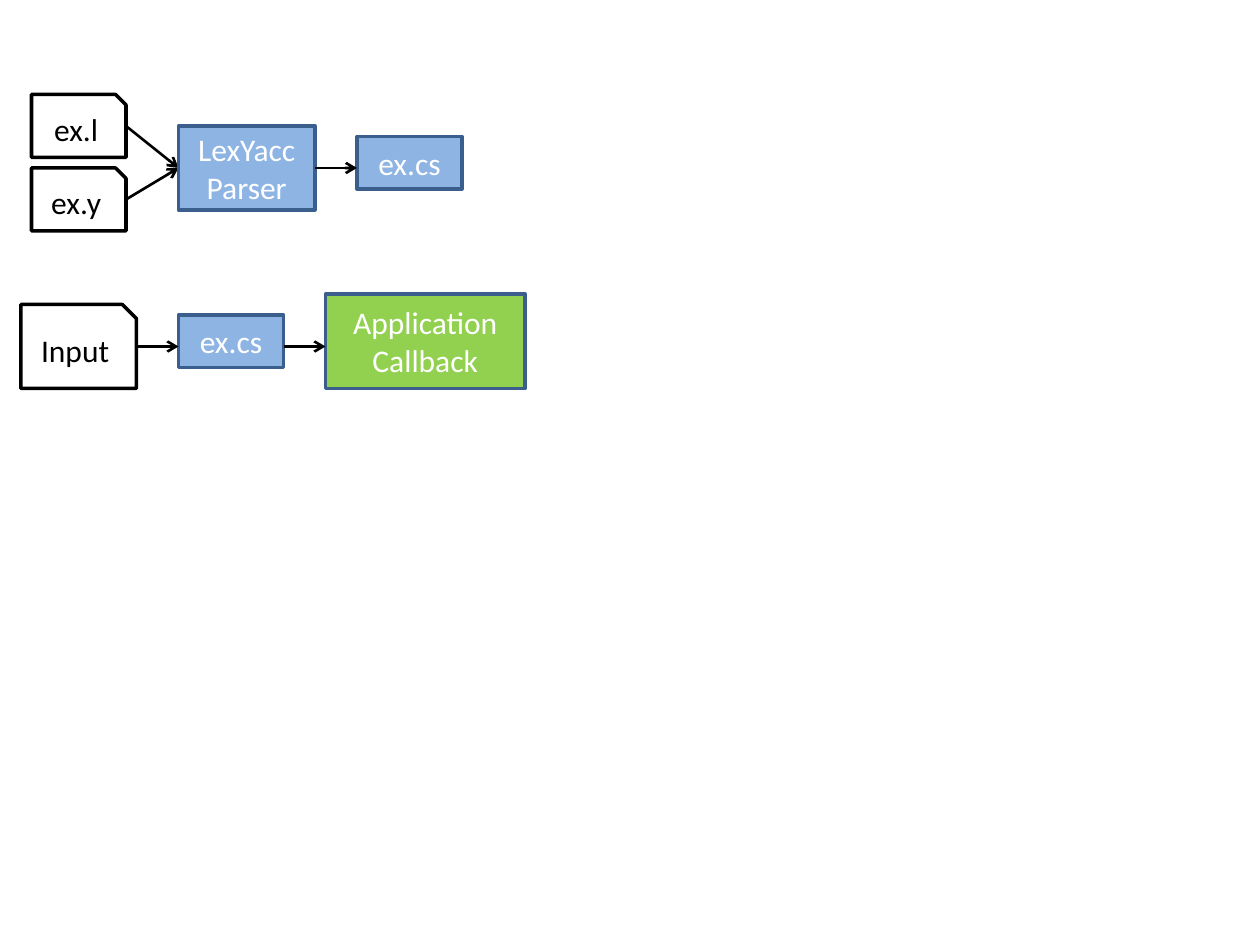
from lxml import etree
from pptx import Presentation
from pptx.dml.color import RGBColor
from pptx.enum import shapes, text
from pptx.oxml import ns
from pptx.util import Pt

BLACK = RGBColor(0x00, 0x00, 0x00)
WHITE = RGBColor(0xFF, 0xFF, 0xFF)
BLUE = RGBColor(0x8E, 0xB4, 0xE3)
GREEN = RGBColor(0x92, 0xD0, 0x50)
EDGE = RGBColor(0x3A, 0x5F, 0x8C)
FONT = "Calibri"


def add_node(slide, kind, label, box, ink, edge, fill=None):
    """Add an outlined shape with a centred label."""
    node = slide.shapes.add_shape(kind, *map(Pt, box))
    node.shadow.inherit = False
    if fill is None:
        node.fill.background()
    else:
        node.fill.solid()
        node.fill.fore_color.rgb = fill
    node.line.color.rgb = edge
    node.line.width = Pt(2)
    frame = node.text_frame
    frame.word_wrap = True
    frame.vertical_anchor = text.MSO_ANCHOR.MIDDLE
    para = frame.paragraphs[0]
    para.alignment = text.PP_ALIGN.CENTER
    run = para.add_run()
    run.text = label
    run.font.name = FONT
    run.font.size = Pt(18)
    run.font.color.rgb = ink


def add_file(slide, label, box):
    """Add a file with a snipped corner."""
    kind = shapes.MSO_SHAPE.SNIP_1_RECTANGLE
    add_node(slide, kind, label, box, BLACK, BLACK)


def add_step(slide, label, box, fill):
    """Add a filled processing step."""
    kind = shapes.MSO_SHAPE.RECTANGLE
    add_node(slide, kind, label, box, WHITE, EDGE, fill)


def add_arrow(slide, x1, y1, x2, y2):
    """Add a straight black arrow."""
    kind = shapes.MSO_CONNECTOR.STRAIGHT
    arrow = slide.shapes.add_connector(kind, *map(Pt, (x1, y1, x2, y2)))
    arrow.line.color.rgb = BLACK
    arrow.line.width = Pt(1.5)
    props = arrow.line._get_or_add_ln()
    etree.SubElement(props, ns.qn("a:tailEnd"), type="arrow")
    etree.SubElement(arrow._element.spPr, ns.qn("a:effectLst"))


def add_build(slide, left, top):
    """Draw the flow from grammar files to generated code."""
    mid = top + 42
    for row, name in enumerate(("ex.l", "ex.y")):
        y = top + 42 * row
        add_file(slide, name, (left, y, 54, 36))
        add_arrow(slide, left + 54, y + 18, left + 84, mid)
    add_step(slide, "LexYacc Parser", (left + 84, top + 18, 78, 48), BLUE)
    add_step(slide, "ex.cs", (left + 186, top + 24, 60, 30), BLUE)
    add_arrow(slide, left + 162, mid, left + 186, mid)


def add_use(slide, left, top):
    """Draw the flow from input to the application callback."""
    mid = top + 30
    add_file(slide, "Input", (left, top + 6, 66, 48))
    add_step(slide, "ex.cs", (left + 90, top + 12, 60, 30), BLUE)
    add_step(slide, "Application Callback", (left + 174, top, 114, 54), GREEN)
    for x in (left + 66, left + 150):
        add_arrow(slide, x, mid, x + 24, mid)


def main():
    """Build and save the slide."""
    deck = Presentation()
    deck.slide_width, deck.slide_height = Pt(720), Pt(540)
    slide = deck.slides.add_slide(deck.slide_layouts[6])
    add_build(slide, 18, 54)
    add_use(slide, 12, 168)
    deck.save("out.pptx")


if __name__ == "__main__":
    main()
